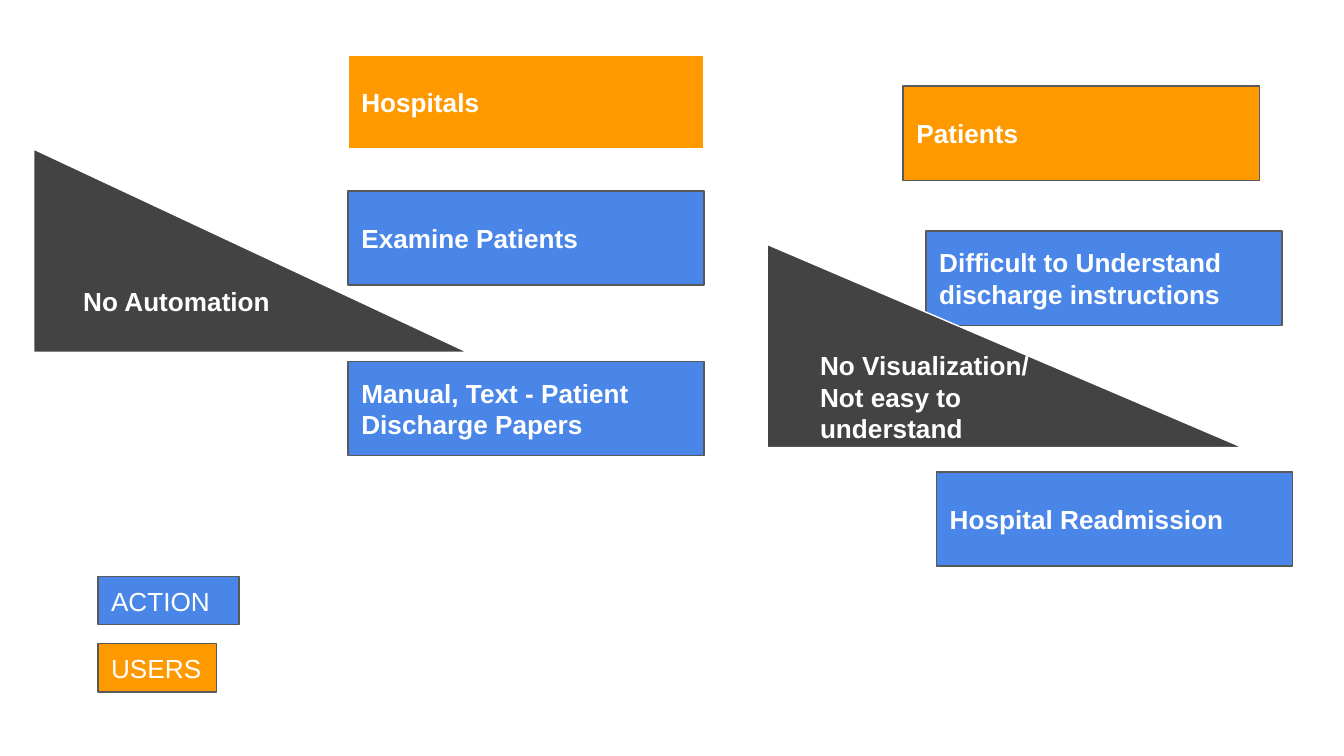
"""Builds the slide on hospital and patient discharge problems."""
from dataclasses import dataclass

from pptx import Presentation
from pptx import util as u
from pptx.dml.color import RGBColor
from pptx.enum import shapes, text

BOX = shapes.MSO_SHAPE.RECTANGLE
WEDGE = shapes.MSO_SHAPE.RIGHT_TRIANGLE


@dataclass(frozen=True)
class Theme:
    """Colours, type and line settings of the slide."""
    user: str = "FF9900"
    action: str = "4A86E8"
    gap: str = "434343"
    edge: str = "595959"
    light: str = "FFFFFF"
    font: str = "Arial"
    size: float = 14
    line: float = 0.75
    inset: float = 0.25


@dataclass(frozen=True)
class Block:
    """A labelled shape; lengths are in centimetres."""
    label: str
    left: float
    top: float
    fill: str
    width: float = 6.73
    height: float = 1.78
    edge: str = Theme.edge
    bold: bool = True
    form: shapes.MSO_SHAPE = BOX


THEME = Theme()


def wedge(label: str, left: float, top: float, width: float) -> Block:
    """Describe a dark triangle that names a gap."""
    return Block(label, left, top, THEME.gap, width, 3.84, THEME.light, form=WEDGE)


def legend(label: str, row: int, fill: str, width: float) -> Block:
    """Describe one key of the legend, counted from the top."""
    return Block(label, 1.85, 10.9 + row * 1.27, fill, width, 0.91, bold=False)


def draw(slide, block: Block) -> None:
    """Draw one block with its label."""
    shape = slide.shapes.add_shape(
        block.form, u.Cm(block.left), u.Cm(block.top),
        u.Cm(block.width), u.Cm(block.height))
    shape.shadow.inherit = False
    shape.fill.solid()
    shape.fill.fore_color.rgb = RGBColor.from_string(block.fill)
    shape.line.color.rgb = RGBColor.from_string(block.edge)
    shape.line.width = u.Pt(THEME.line)

    frame = shape.text_frame
    frame.word_wrap = True
    frame.vertical_anchor = text.MSO_ANCHOR.MIDDLE
    frame.margin_left = frame.margin_right = u.Cm(THEME.inset)
    frame.margin_top = frame.margin_bottom = u.Cm(THEME.inset)
    frame.text = block.label
    para = frame.paragraphs[0]
    para.alignment = text.PP_ALIGN.LEFT
    font = para.runs[0].font
    font.name = THEME.font
    font.size = u.Pt(THEME.size)
    font.bold = block.bold
    font.color.rgb = RGBColor.from_string(THEME.light)


# Listed from back to front
BLOCKS = [
    Block("Hospitals", 6.58, 1.04, THEME.user, edge=THEME.light),
    Block("Manual, Text - Patient Discharge Papers", 6.58, 6.83, THEME.action),
    Block("Patients", 17.07, 1.63, THEME.user),
    wedge("No Automation", 0.64, 2.82, 8.2),
    Block("Difficult to Understand discharge instructions", 17.5, 4.37, THEME.action),
    Block("Hospital Readmission", 17.7, 8.92, THEME.action),
    wedge("No Visualization/ Not easy to understand", 14.5, 4.62, 8.99),
    Block("Examine Patients", 6.58, 3.61, THEME.action),
    legend("ACTION", 0, THEME.action, 2.67),
    legend("USERS", 1, THEME.user, 2.24),
]


def main() -> None:
    """Build and save the slide."""
    deck = Presentation()
    deck.slide_width, deck.slide_height = u.Cm(25.4), u.Cm(14.29)
    slide = deck.slides.add_slide(deck.slide_layouts[6])
    for block in BLOCKS:
        draw(slide, block)
    deck.save("out.pptx")


main()
